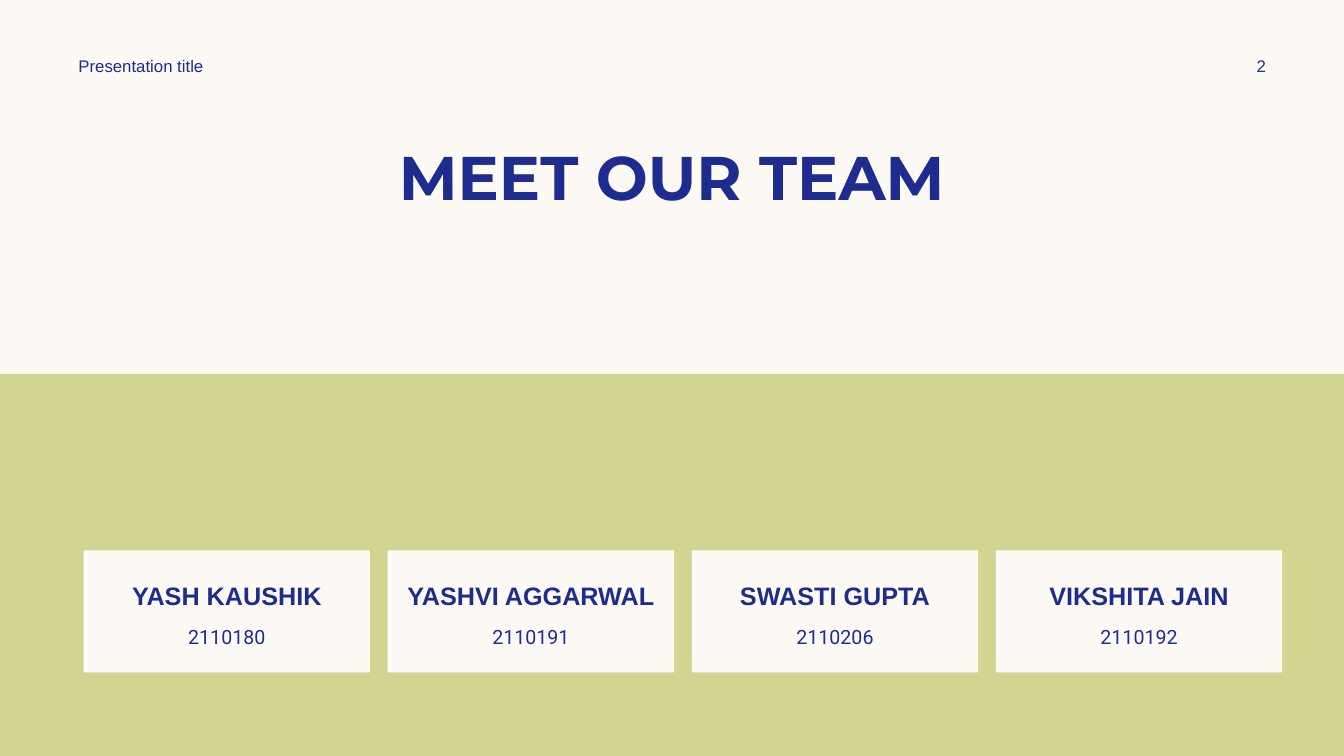
from dataclasses import dataclass

from pptx import Presentation
from pptx.dml.color import RGBColor
from pptx.enum.shapes import MSO_SHAPE as Preset
from pptx.enum.text import MSO_ANCHOR as Anchor, PP_ALIGN as Align
from pptx.shapes.autoshape import Shape
from pptx.slide import Slide
from pptx.util import Inches, Pt

NAVY = "1F2C8F"
CREAM = "FDFAF6"
OLIVE = "D2D592"

CARD_LEFT, CARD_TOP = 0.83, 5.46
CARD_WIDTH, CARD_HEIGHT = 2.84, 1.21
CARD_PITCH = 3.016
ROLL_WIDTH = 2.5


@dataclass(frozen=True)
class Box:
    left: float
    top: float
    width: float
    height: float

    def lengths(self) -> list[Inches]:
        return [Inches(side) for side in (self.left, self.top, self.width, self.height)]


@dataclass(frozen=True)
class Style:
    font: str
    size: float
    bold: bool = False
    align: Align = Align.CENTER
    anchor: Anchor = Anchor.MIDDLE
    space_before: float = 0


@dataclass(frozen=True)
class Member:
    name: str
    roll_number: str


TITLE = Style("Montserrat", 44, bold=True, anchor=Anchor.TOP)
HEADER = Style("Arial", 12, align=Align.LEFT)
PAGE_NUMBER = Style("Arial", 12)
NAME = Style("Arial", 18, bold=True, anchor=Anchor.TOP)
ROLL_NUMBER = Style("Roboto", 14, space_before=3.6)

TEAM = [
    Member("YASH KAUSHIK", "2110180"),
    Member("YASHVI AGGARWAL", "2110191"),
    Member("SWASTI GUPTA", "2110206"),
    Member("VIKSHITA JAIN", "2110192"),
]


def color(code: str) -> RGBColor:
    return RGBColor.from_string(code)


def write(holder: Shape, text: str, style: Style) -> None:
    frame = holder.text_frame
    frame.word_wrap = True
    frame.vertical_anchor = style.anchor
    paragraph = frame.paragraphs[0]
    paragraph.text = text
    paragraph.alignment = style.align
    paragraph.space_before = Pt(style.space_before)
    paragraph.font.name = style.font
    paragraph.font.size = Pt(style.size)
    paragraph.font.bold = style.bold
    paragraph.font.color.rgb = color(NAVY)


def add_text(slide: Slide, box: Box, text: str, style: Style) -> None:
    write(slide.shapes.add_textbox(*box.lengths()), text, style)


def add_panel(slide: Slide, box: Box, fill: str) -> Shape:
    panel = slide.shapes.add_shape(Preset.RECTANGLE, *box.lengths())
    panel.shadow.inherit = False
    panel.fill.solid()
    panel.fill.fore_color.rgb = color(fill)
    panel.line.fill.background()
    return panel


def add_member(slide: Slide, member: Member, left: float) -> None:
    card = add_panel(slide, Box(left, CARD_TOP, CARD_WIDTH, CARD_HEIGHT), CREAM)
    frame = card.text_frame
    frame.margin_left = frame.margin_right = Inches(0)
    frame.margin_top = Inches(0.3)
    frame.margin_bottom = Inches(0.05)
    write(card, member.name, NAME)
    roll_left = left + (CARD_WIDTH - ROLL_WIDTH) / 2
    add_text(slide, Box(roll_left, 6.12, ROLL_WIDTH, 0.4), member.roll_number, ROLL_NUMBER)


def main() -> None:
    deck = Presentation()
    deck.slide_width = Inches(13.33)
    deck.slide_height = Inches(7.5)
    slide = deck.slides.add_slide(deck.slide_layouts[6])
    slide.background.fill.solid()
    slide.background.fill.fore_color.rgb = color(CREAM)

    add_panel(slide, Box(0, 3.71, 13.33, 3.79), OLIVE)
    add_text(slide, Box(0.83, 1.33, 11.67, 0.84), "MEET OUR TEAM", TITLE)
    add_text(slide, Box(0.68, 0.5, 3.5, 0.3), "Presentation title", HEADER)
    add_text(slide, Box(11.97, 0.5, 1.08, 0.3), "2", PAGE_NUMBER)
    for column, member in enumerate(TEAM):
        add_member(slide, member, CARD_LEFT + column * CARD_PITCH)

    deck.save("out.pptx")


if __name__ == "__main__":
    main()
